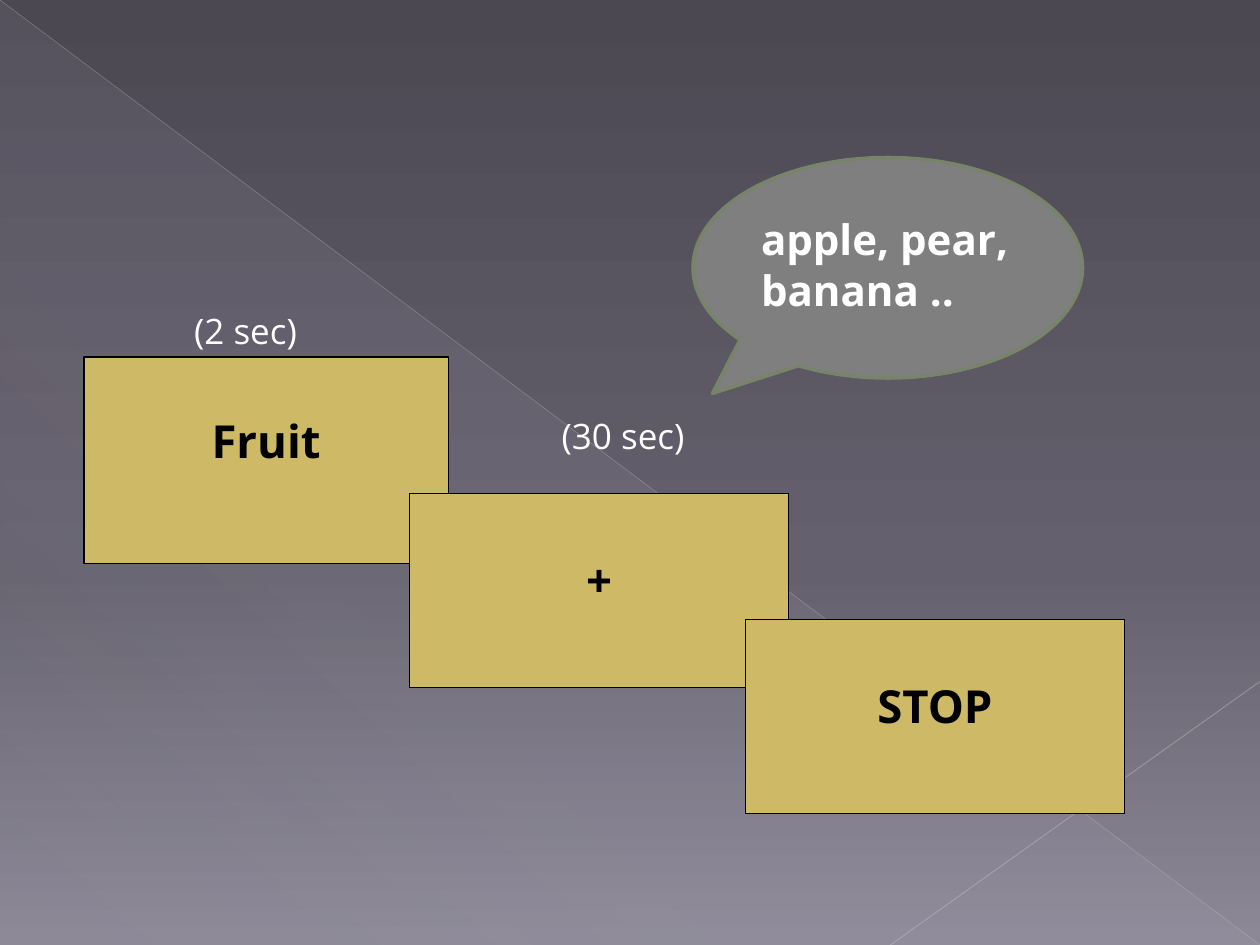
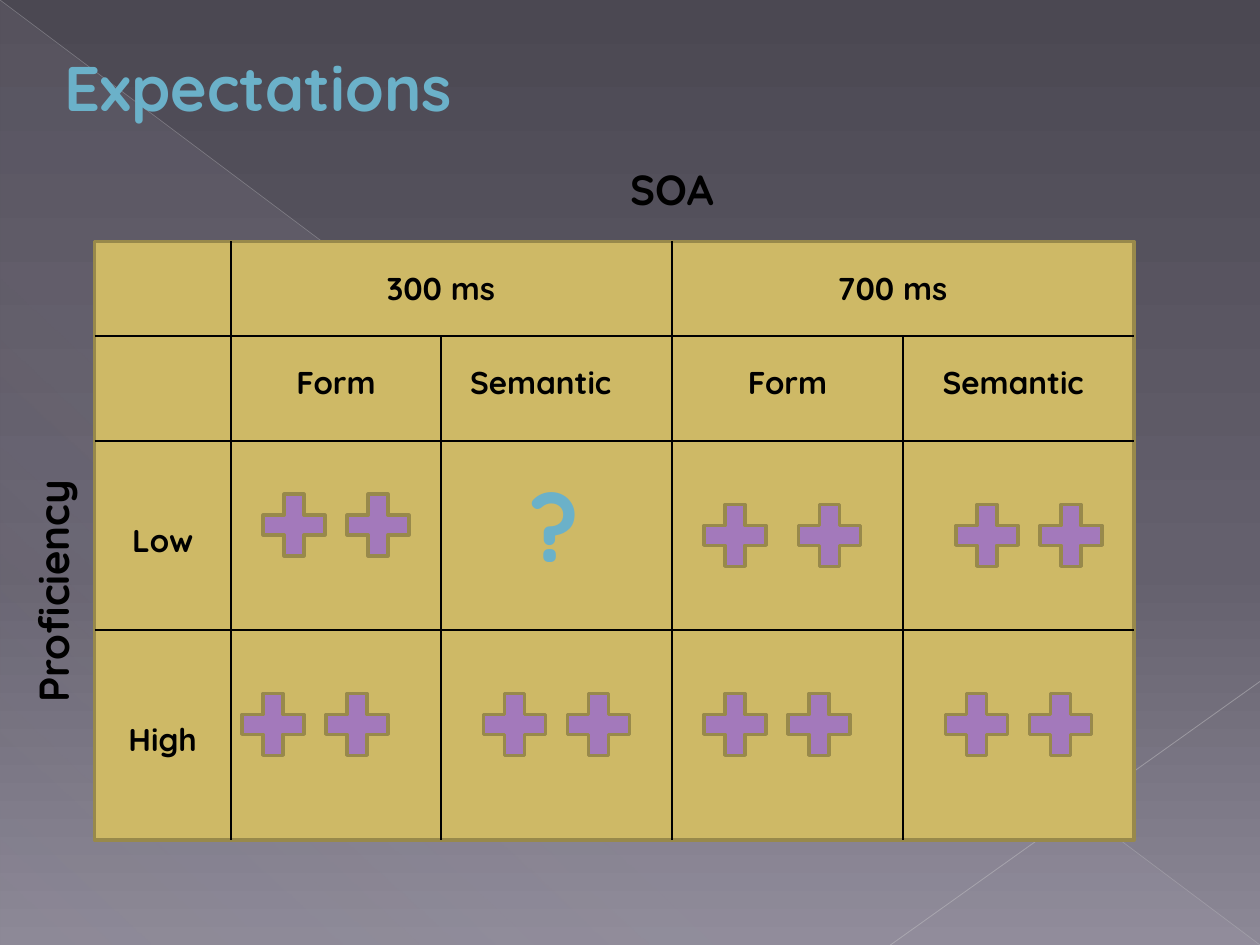
from dataclasses import dataclass

from lxml import etree
from pptx import Presentation
from pptx.dml.color import RGBColor
from pptx.enum.shapes import MSO_CONNECTOR, MSO_SHAPE
from pptx.enum.text import MSO_ANCHOR, PP_ALIGN
from pptx.oxml.ns import qn
from pptx.util import Inches, Pt

STRAIGHT = MSO_CONNECTOR.STRAIGHT
RECTANGLE, TRIANGLE = MSO_SHAPE.RECTANGLE, MSO_SHAPE.RIGHT_TRIANGLE
BUBBLE, PLUS = MSO_SHAPE.OVAL_CALLOUT, MSO_SHAPE.MATH_PLUS
LEFT, CENTER = PP_ALIGN.LEFT, PP_ALIGN.CENTER
TOP, MIDDLE = MSO_ANCHOR.TOP, MSO_ANCHOR.MIDDLE
COLUMNS, ROWS = 120, 90
CELL = Inches(10) / COLUMNS
TIGHT = (0.04, 0.04, 0.04, 0.04)
ROOMY = (0.1, 0.05, 0.1, 0.05)


@dataclass(frozen=True)
class Theme:
    """Colours, fonts and type sizes of the deck."""
    backdrop: tuple = ((0, "4B4852", 100), (60, "64606D", 100), (100, "8C8896", 100))
    sheen: tuple = ((0, "C9C2D1", 10), (70, "C9C2D1", 8), (100, "C9C2D1", 1))
    long_ray: str = "C0BFC2"
    short_ray: str = "C7C6C8"
    gold: str = "CEB966"
    gold_edge: str = "98894B"
    purple: str = "A379BB"
    blue: str = "6BB1C9"
    grey: str = "7F7F7F"
    moss: str = "78846A"
    ink: str = "000000"
    white: str = "FFFFFF"
    screen_font: str = "Open Sans"
    chart_font: str = "Quicksand"
    label: int = 18
    timing: int = 20
    axis: int = 24
    stimulus: int = 26
    title: int = 36
    question: int = 54
    hairline: float = 0.75
    edge: float = 2


def grid(*cells):
    """Turn grid cells into lengths."""
    return [round(cell * CELL) for cell in cells]


def set_alpha(color_element, percent):
    """Make a colour partly transparent."""
    etree.SubElement(color_element, qn("a:alpha"), val=str(percent * 1000))


def set_gradient(parent, stops, angle):
    """Give the gradient inside parent new stops and a new angle."""
    gradient = next(parent.iter(qn("a:gradFill")))
    stop_list = gradient.find(qn("a:gsLst"))
    for old_stop in list(stop_list):
        stop_list.remove(old_stop)
    for position, color, opacity in stops:
        stop = etree.SubElement(stop_list, qn("a:gs"), pos=str(position * 1000))
        set_alpha(etree.SubElement(stop, qn("a:srgbClr"), val=color), opacity)
    gradient.find(qn("a:lin")).set("ang", str(angle * 60000))


class Deck:
    """Holds the theme and the current slide, and draws on a 120 by 90 grid."""

    def __init__(self, theme):
        """Open a presentation and set its shared background."""
        self.theme = theme
        self.prs = Presentation()
        self.prs.slide_width, self.prs.slide_height = grid(COLUMNS, ROWS)
        master = self.prs.slide_master
        master.background.fill.gradient()
        set_gradient(master.element, theme.backdrop, 90)

    def new_slide(self):
        """Start a slide with the sheen and the two rays."""
        theme = self.theme
        self.slide = self.prs.slides.add_slide(self.prs.slide_layouts[6])
        sheen = self.shape(TRIANGLE, (0, 0, COLUMNS, ROWS))
        sheen.fill.gradient()
        set_gradient(sheen.element, theme.sheen, 133)
        self.line((0, 0, COLUMNS, ROWS), theme.long_ray, 0.39, 35)
        self.line((COLUMNS, 64.9, 84.8, ROWS), theme.short_ray, 0.47, 45)

    def shape(self, preset, box, fill=None, edge=None, width=0):
        """Add a preset shape without shadow."""
        shape = self.slide.shapes.add_shape(preset, *grid(*box))
        shape.shadow.inherit = False
        if fill:
            shape.fill.solid()
            shape.fill.fore_color.rgb = RGBColor.from_string(fill)
        if edge:
            shape.line.color.rgb = RGBColor.from_string(edge)
            shape.line.width = Pt(width)
        else:
            shape.line.fill.background()
        return shape

    def line(self, ends, color, width, opacity=100):
        """Add a straight line."""
        line = self.slide.shapes.add_connector(STRAIGHT, *grid(*ends))
        line.line.color.rgb = RGBColor.from_string(color)
        line.line.width = Pt(width)
        properties = line.element.spPr
        if opacity < 100:
            set_alpha(next(properties.iter(qn("a:srgbClr"))), opacity)
        etree.SubElement(properties, qn("a:effectLst"))

    def put_words(self, holder, words, font, size, color, bold=True,
                  align=CENTER, anchor=TOP, insets=ROOMY):
        """Set and format the words of a shape or a text box."""
        frame = holder.text_frame
        frame.text = words
        frame.word_wrap = True
        frame.vertical_anchor = anchor
        (frame.margin_left, frame.margin_top,
         frame.margin_right, frame.margin_bottom) = map(Inches, insets)
        for paragraph in frame.paragraphs:
            paragraph.alignment = align
            for run in paragraph.runs:
                run.font.name = font
                run.font.size = Pt(size)
                run.font.bold = bold
                run.font.color.rgb = RGBColor.from_string(color)

    def text(self, box, *style, **layout):
        """Add a text box."""
        holder = self.slide.shapes.add_textbox(*grid(*box))
        self.put_words(holder, *style, **layout)
        return holder

    def screen(self, box, words, lift):
        """Add a stimulus screen with its words lifted above the middle."""
        theme = self.theme
        panel = self.shape(RECTANGLE, box, theme.gold, theme.ink, theme.hairline)
        self.put_words(panel, words, theme.screen_font, theme.stimulus, theme.ink,
                       anchor=MIDDLE, insets=(0.04, 0.04, 0.04, 0.04 + 2 * lift))

    def speech(self, box, words_box, words):
        """Add a speech bubble with a tail at its lower left."""
        theme = self.theme
        bubble = self.shape(BUBBLE, box, theme.grey, theme.moss, theme.edge)
        bubble.adjustments[0], bubble.adjustments[1] = -0.45, 0.57
        self.text(words_box, words, theme.screen_font, theme.axis, theme.white,
                  align=LEFT, anchor=MIDDLE, insets=TIGHT)

    def timing(self, left, top, words):
        """Add the duration above a screen."""
        theme = self.theme
        self.text((left, top, 16.2, 4.8), words, theme.screen_font, theme.timing,
                  theme.white, bold=False, align=LEFT, insets=TIGHT)

    def label(self, box, words, size=None):
        """Add a heading of the expectations matrix."""
        theme = self.theme
        return self.text(box, words, theme.chart_font, size or theme.label, theme.ink)

    def plus_pair(self, left, top, step):
        """Add two plus signs side by side."""
        theme = self.theme
        for start in (left, left + step):
            self.shape(PLUS, (start, top, 8, 8), theme.purple, theme.gold_edge, theme.edge)


def build_trial(deck):
    """Draw the sequence of screens in a trial."""
    deck.new_slide()
    deck.screen((8, 34, 34.7, 19.7), "Fruit", 0.16)
    deck.speech((66, 15, 37.1, 21), (72, 20, 26.2, 10.3), "apple, pear, banana ..")
    for left, top, words in ((39, 47, "+"), (71, 59, "STOP")):
        deck.screen((left, top, 36.1, 18.5), words, 0.09)
    deck.timing(18, 29, "(2 sec)")
    deck.timing(53, 39, "(30 sec)")


def build_expectations(deck):
    """Draw the matrix of expected effects."""
    theme = deck.theme
    left, top, right, bottom = 9, 23, 108, 80
    header_bottom = 32
    deck.new_slide()
    deck.text((5, 4, 60, 8.5), "Expectations", theme.chart_font, theme.title,
              theme.blue, align=LEFT)
    deck.shape(RECTANGLE, (left, top, right - left, bottom - top),
               theme.gold, theme.gold_edge, theme.edge)
    rules = [(left, row, right, row) for row in (header_bottom, 42, 60)]
    rules += [(column, top, column, bottom) for column in (22, 64)]
    rules += [(column, header_bottom, column, bottom) for column in (42, 86)]
    for rule in rules:
        deck.line(rule, theme.ink, theme.hairline)

    for start, words in ((30, "300 ms"), (73, "700 ms")):
        deck.label((start, 25, 24, 4.8), words)
    for form_start, semantic_start in ((24, 43), (67, 88)):
        deck.label((form_start, 34, 16, 4.8), "Form")
        deck.label((semantic_start, 34, 17, 4.8), "Semantic")
    for row, words in ((49, "Low"), (68, "High")):
        deck.label((10, row, 11, 4.8), words)
    deck.label((27, 15, 74, 6), "SOA", theme.axis)
    deck.label((-17, 53.3, 44, 6), "Proficiency", theme.axis).rotation = 270

    low_pairs = ((24, 46, 8), (66, 47, 9), (90, 47, 8))
    high_pairs = [(start, 65, 8) for start in (22, 45, 66, 89)]
    for pair in (*low_pairs, *high_pairs):
        deck.plus_pair(*pair)
    deck.text((49, 44, 7.6, 12.1), "?", theme.chart_font, theme.question, theme.blue)


def main():
    """Build and save the deck."""
    deck = Deck(Theme())
    build_trial(deck)
    build_expectations(deck)
    deck.prs.save("out.pptx")


if __name__ == "__main__":
    main()
